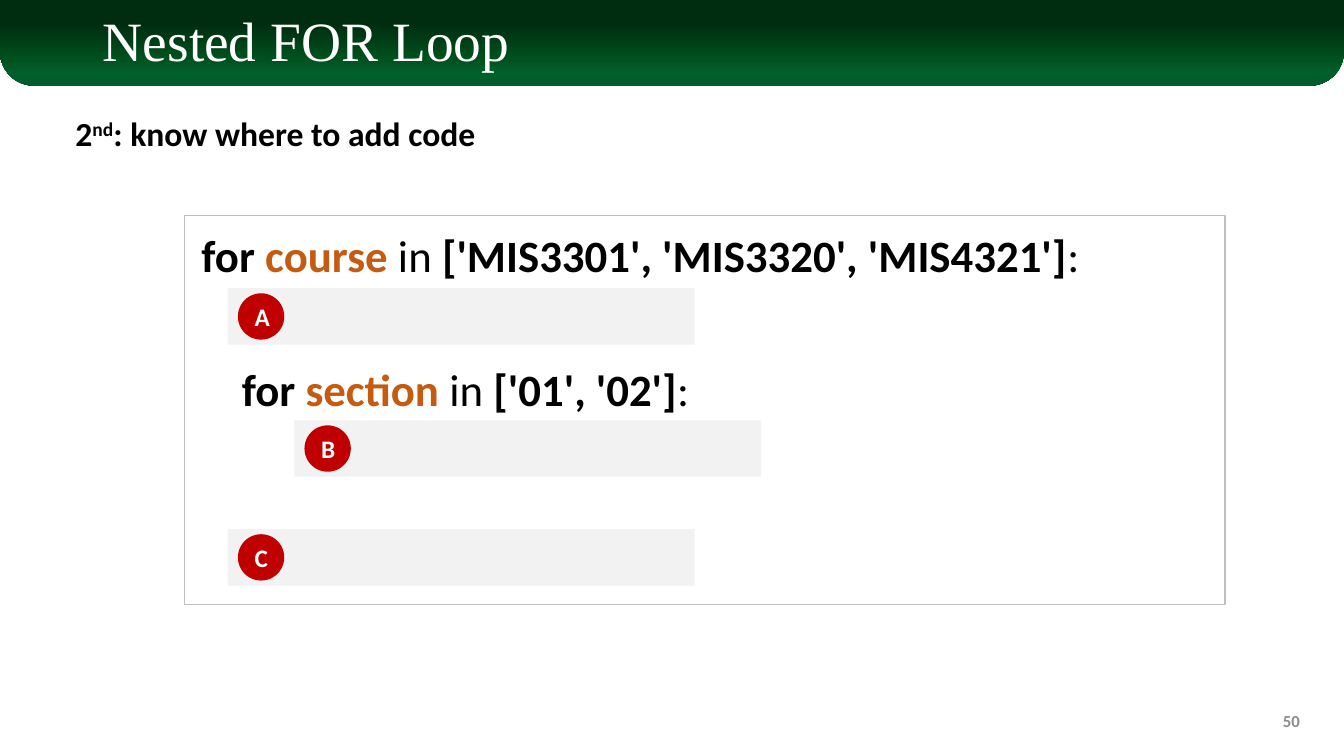
"""Build the nested FOR loop slide with its three code slots."""
from copy import deepcopy
from dataclasses import dataclass

from pptx import Presentation
from pptx import util as u
from pptx.dml.color import RGBColor
from pptx.enum import shapes, text
from pptx.oxml.ns import qn

BLACK, WHITE, ORANGE, RED = "000000", "FFFFFF", "C55A11", "C00000"
SHADES = [(0.28, "002D10"), (0.68, "00501D"), (0.85, "00602B"), (1, "005C2B")]


@dataclass
class Part:
    words: str
    color: str = BLACK
    bold: bool = True
    base: int = 0


@dataclass
class Loop:
    top: float
    indent: float
    name: str
    items: str


@dataclass
class Slot:
    letter: str
    left: float
    top: float


LOOPS = [
    Loop(2.21, 0, "course", "['MIS3301', 'MIS3320', 'MIS4321']"),
    Loop(3.54, 0.4, "section", "['01', '02']"),
]
SLOTS = [Slot("A", 2.26, 2.86), Slot("B", 2.92, 4.17), Slot("C", 2.26, 5.25)]


def rgb(code: str) -> RGBColor:
    """Turn a hex string into a colour."""
    return RGBColor.from_string(code)


def style(run, size: float, color: str, bold: bool = True, face: str = "Calibri") -> None:
    """Format one run."""
    run.font.size = u.Pt(size)
    run.font.name = face
    run.font.bold = bold
    run.font.color.rgb = rgb(color)


def add_shape(slide, kind, left: float, top: float, width: float, height: float,
              fill: str = "", line: str = ""):
    """Add a flat shape with an optional fill and line."""
    shape = slide.shapes.add_shape(kind, *map(u.Inches, (left, top, width, height)))
    shape.shadow.inherit = False
    if fill:
        shape.fill.solid()
        shape.fill.fore_color.rgb = rgb(fill)
    else:
        shape.fill.background()
    if line:
        shape.line.color.rgb = rgb(line)
        shape.line.width = u.Pt(1)
    else:
        shape.line.fill.background()
    return shape


def add_text(slide, left: float, top: float, width: float, height: float,
             parts: list[Part], size: float, wrap: bool = True):
    """Add a text box with one paragraph of styled parts and return its frame."""
    box = slide.shapes.add_textbox(*map(u.Inches, (left, top, width, height)))
    frame = box.text_frame
    frame.word_wrap = wrap
    for part in parts:
        run = frame.paragraphs[0].add_run()
        run.text = part.words
        style(run, size, part.color, part.bold)
        if part.base:
            run.font._element.set("baseline", str(part.base * 1000))
    return frame


def add_banner(slide) -> None:
    """Draw the green band with round lower corners."""
    band = add_shape(slide, shapes.MSO_SHAPE.ROUND_2_SAME_RECTANGLE, 0, 0, 13.33, 0.85)
    band.adjustments[0], band.adjustments[1] = 0, 0.4
    band.fill.gradient()
    band.fill.gradient_angle = 270
    stops = band._element.spPr.find(".//" + qn("a:gsLst"))
    for _ in SHADES[2:]:
        stops.append(deepcopy(stops[0]))
    for stop, (place, color) in zip(band.fill.gradient_stops, SHADES):
        stop.position = place
        stop.color.rgb = rgb(color)
    slide.shapes._spTree.insert(2, band._element)


def set_title(slide, words: str) -> None:
    """Place and format the title."""
    title = slide.shapes.title
    title.left, title.top, title.width, title.height = map(u.Inches, (0.92, 0.13, 11.5, 0.61))
    frame = title.text_frame
    frame.text = words
    frame.auto_size = text.MSO_AUTO_SIZE.NONE
    frame.vertical_anchor = text.MSO_ANCHOR.MIDDLE
    line = frame.paragraphs[0]
    line.alignment = text.PP_ALIGN.LEFT
    line.line_spacing = 0.9
    style(line.runs[0], 39.6, WHITE, False, "Times New Roman")


def add_loop(slide, loop: Loop) -> None:
    """Write the head of one loop."""
    parts = [Part("for "), Part(loop.name, ORANGE), Part(" in ", bold=False),
             Part(loop.items), Part(":", bold=False)]
    frame = add_text(slide, 1.9, loop.top, 9.98, 0.64, parts, 32)
    margin = str(u.Inches(loop.indent))
    frame.paragraphs[0]._p.get_or_add_pPr().set("marL", margin)


def add_slot(slide, slot: Slot) -> None:
    """Draw a grey bar with its lettered dot."""
    add_shape(slide, shapes.MSO_SHAPE.RECTANGLE, slot.left, slot.top, 4.63, 0.56, "F2F2F2")
    dot = add_shape(slide, shapes.MSO_SHAPE.OVAL, slot.left + 0.1, slot.top + 0.05,
                    0.46, 0.46, RED)
    frame = dot.text_frame
    frame.text = slot.letter
    frame.vertical_anchor = text.MSO_ANCHOR.MIDDLE
    frame.paragraphs[0].alignment = text.PP_ALIGN.CENTER
    style(frame.paragraphs[0].runs[0], 18, WHITE)


def main() -> None:
    """Build and save the slide."""
    deck = Presentation()
    deck.slide_width, deck.slide_height = u.Inches(13.33), u.Inches(7.5)
    slide = deck.slides.add_slide(deck.slide_layouts[5])
    add_banner(slide)
    set_title(slide, "Nested FOR Loop")
    add_shape(slide, shapes.MSO_SHAPE.RECTANGLE, 1.83, 2.14, 10.32, 3.86, line="BFBFBF")
    for slot in SLOTS:
        add_slot(slide, slot)
    for loop in LOOPS:
        add_loop(slide, loop)
    step = [Part("2"), Part("nd", base=30), Part(": know where to add code")]
    add_text(slide, 0.65, 1.07, 4.25, 0.5, step, 24, wrap=False)
    page = add_text(slide, 9.99, 6.95, 3, 0.4, [Part("50", "8C8C8C")], 12)
    page.vertical_anchor = text.MSO_ANCHOR.MIDDLE
    page.paragraphs[0].alignment = text.PP_ALIGN.RIGHT
    deck.save("out.pptx")


if __name__ == "__main__":
    main()
